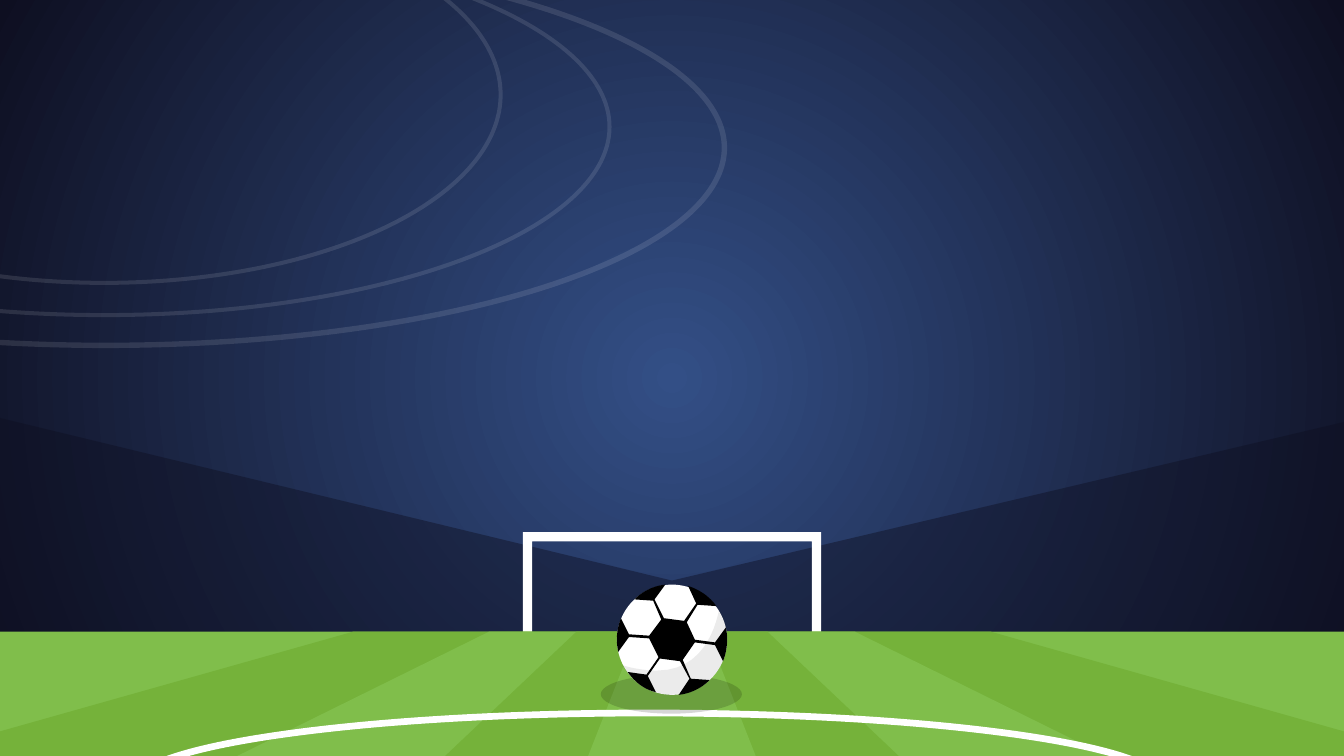
from lxml.etree import SubElement
from pptx import Presentation
from pptx.dml.color import RGBColor
from pptx.enum.shapes import MSO_SHAPE
from pptx.oxml.ns import qn
from pptx.util import Inches

WHITE, BLACK = "FFFFFF", "000000"
LIGHT, DARK = "80BE4B", "75B23A"
GLOW, NIGHT = "334F86", "0E0F21"
MID, GRASS = 5, 4.7


def rgb(code):
    return RGBColor.from_string(code)


def trace(steps):
    """Turn lines (x, y) and curves (two handles, end) into points."""
    points = []
    for step in steps:
        if len(step) == 2:
            points.append(step)
            continue
        (ax, ay), (bx, by, cx, cy, dx, dy) = points[-1], step
        for i in range(1, 13):
            t = i / 12
            u = 1 - t
            p, q, r, s = u**3, 3 * u * u * t, 3 * u * t * t, t**3
            points.append((p * ax + q * bx + r * cx + s * dx,
                           p * ay + q * by + r * cy + s * dy))
    return points


def mirror(half):
    """Close a right-hand edge of (offset, y) with its mirrored left edge."""
    right = [(MID + x, y) for x, y in half]
    return right + [(MID - x, y) for x, y in reversed(half)]


class Scene:
    def __init__(self, slide):
        self.slide = slide

    def sky(self, inner, outer):
        fill = self.slide.background.fill
        fill.gradient()
        for stop, code in zip(fill.gradient_stops, (inner, outer)):
            stop.color.rgb = rgb(code)
        grad = next(self.slide._element.iter(qn("a:gradFill")))
        grad.remove(grad.find(qn("a:lin")))
        path = SubElement(grad, qn("a:path"), path="circle")
        SubElement(path, qn("a:fillToRect"),
                   {side: "50000" for side in "ltrb"})

    def fade(self, shape, alpha):
        if alpha < 100:
            for tag in shape._element.spPr.iter(qn("a:srgbClr")):
                SubElement(tag, qn("a:alpha"), val=str(alpha * 1000))

    def paint(self, shape, color, alpha=100):
        shape.shadow.inherit = False
        shape.line.fill.background()
        shape.fill.solid()
        shape.fill.fore_color.rgb = rgb(color)
        self.fade(shape, alpha)
        return shape

    def add(self, kind, box):
        return self.slide.shapes.add_shape(kind, *map(Inches, box))

    def disc(self, box, color, alpha=100):
        return self.paint(self.add(MSO_SHAPE.OVAL, box), color, alpha)

    def ring(self, box, width, alpha=100):
        x, y, w, h = box
        gap = width / 2
        shape = self.add(MSO_SHAPE.OVAL,
                         (x + gap, y + gap, w - width, h - width))
        shape.shadow.inherit = False
        shape.fill.background()
        shape.line.width = Inches(width)
        shape.line.color.rgb = rgb(WHITE)
        self.fade(shape, alpha)

    def frame(self, box, width):
        shape = self.paint(self.add(MSO_SHAPE.FRAME, box), WHITE)
        shape.adjustments[0] = width / min(box[2:])

    def area(self, steps, color, alpha=100):
        first, *rest = [(Inches(x), Inches(y)) for x, y in trace(steps)]
        pen = self.slide.shapes.build_freeform(*first)
        pen.add_line_segments(rest, close=True)
        self.paint(pen.convert_to_shape(), color, alpha)


# Widescreen slide, 16 to 9
deck = Presentation()
deck.slide_width = Inches(10)
deck.slide_height = deck.slide_width * 9 // 16
scene = Scene(deck.slides.add_slide(deck.slide_layouts[6]))

# Night sky and stands
scene.sky(GLOW, NIGHT)
scene.area([(0, 3.11), (0, 8.29), (10, 8.25), (10, 3.14), (5, 4.32)],
           NIGHT, 45)

# Goal
scene.frame((3.89, 3.96, 2.22, 0.87), 0.07)

# Striped pitch, widest band first
bands = [
    [(5.15, GRASS), (12.5, 5.83), (12.5, 10.2)],
    [(2.37, GRASS), (12.5, 7.56), (12.5, 10.2)],
    [(1.36, GRASS), (12.5, 10.2)],
    [(0.71, GRASS), (6.52, 10.2)],
    [(0.26, GRASS), (2.42, 10.2)],
]
for i, half in enumerate(bands):
    scene.area(mirror(half), DARK if i % 2 else LIGHT)
scene.ring((0.96, 5.28, 7.74, 1.13), 0.05)

# Faint rings in the sky
for box, width in [((-3.84, -0.39, 9.25, 2.98), 0.04),
                   ((-3, -0.47, 7.55, 2.83), 0.03),
                   ((-2.19, -0.71, 5.93, 2.83), 0.03)]:
    scene.ring(box, width, 11)

# Ball with its shadow and shaded side
scene.disc((4.47, 5.02, 1.05, 0.29), BLACK, 16)
scene.disc((4.59, 4.35, 0.82, 0.82), WHITE)
scene.area([(5.35, 4.54), (5.32, 4.69, 5.22, 4.99, 4.89, 4.99),
            (4.82, 4.99, 4.73, 4.98, 4.63, 4.95),
            (4.7, 5.07, 4.82, 5.15, 4.96, 5.17),
            (4.98, 5.17, 4.99, 5.17, 5, 5.17),
            (5.21, 5.17, 5.39, 5.01, 5.41, 4.8),
            (5.42, 4.7, 5.4, 4.62, 5.35, 4.54)], BLACK, 8)

# Black patches and seams
scene.area([
    (4.95, 4.35), (4.86, 4.36, 4.78, 4.4, 4.72, 4.46),
    (4.86, 4.47), (4.92, 4.61), (4.83, 4.73), (4.68, 4.72),
    (4.62, 4.6), (4.59, 4.68, 4.58, 4.76, 4.6, 4.85),
    (4.68, 4.74), (4.83, 4.75), (4.9, 4.89), (4.81, 5.02),
    (4.67, 5), (4.72, 5.07, 4.79, 5.13, 4.88, 5.15),
    (4.82, 5.03), (4.91, 4.9), (5.06, 4.92), (5.13, 5.05),
    (5.05, 5.17), (5.14, 5.16, 5.22, 5.12, 5.28, 5.06),
    (5.14, 5.05), (5.08, 4.91), (5.17, 4.78), (5.32, 4.8),
    (5.38, 4.92), (5.41, 4.84, 5.42, 4.75, 5.4, 4.67),
    (5.32, 4.78), (5.17, 4.76), (5.11, 4.63), (5.19, 4.5),
    (5.33, 4.51), (5.28, 4.44, 5.21, 4.39, 5.12, 4.36),
    (5.18, 4.49), (5.09, 4.62), (4.94, 4.6), (4.87, 4.46),
], BLACK)

deck.save("out.pptx")
